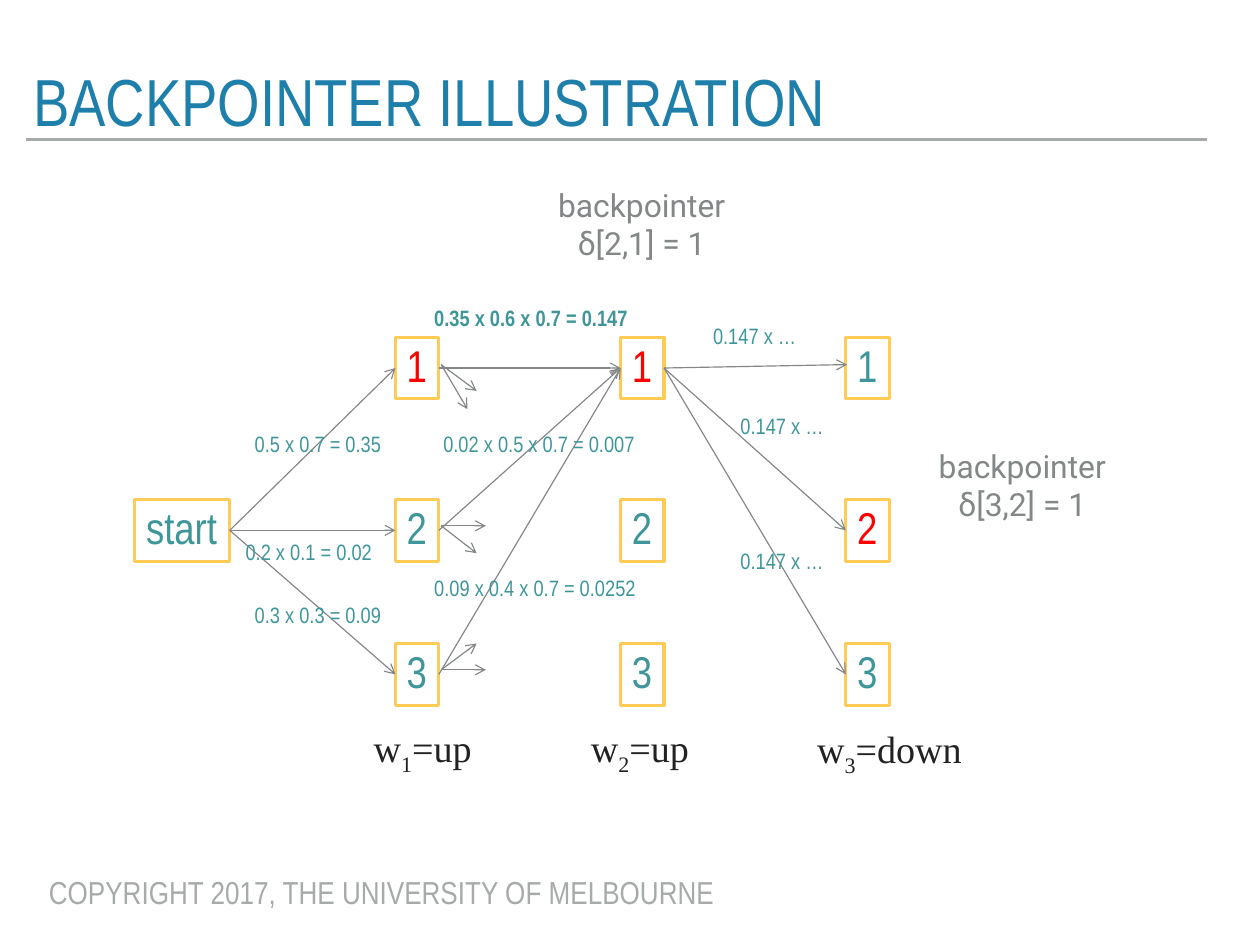
from lxml.etree import SubElement
from pptx import Presentation
from pptx.dml.color import RGBColor
from pptx.enum.shapes import MSO_CONNECTOR as Connector, MSO_SHAPE as Preset
from pptx.enum.text import MSO_ANCHOR as Anchor, MSO_AUTO_SIZE as AutoSize, PP_ALIGN as Align
from pptx.oxml.ns import qn
from pptx.util import Inches, Pt

TITLE_BLUE = RGBColor(0x1F, 0x7F, 0xAB)
RULE_GREY = RGBColor(0xA6, 0xAA, 0xA9)
ARROW_GREY = RGBColor(0x83, 0x87, 0x87)
TEAL = RGBColor(0x3F, 0x96, 0x9A)
RED = RGBColor(0xFF, 0x00, 0x00)
YELLOW = RGBColor(0xFD, 0xCB, 0x56)
INK = RGBColor(0x22, 0x22, 0x22)

presentation = Presentation()
presentation.slide_width = Inches(28 / 2.54)
presentation.slide_height = Inches(21 / 2.54)
slide = presentation.slides.add_slide(presentation.slide_layouts[6])


def write_text(text, left, top, width, height, size=14, color=TEAL, font="Arial Narrow",
               bold=False, align=Align.LEFT, anchor=Anchor.TOP, margin=None,
               spacing=0.93, wrap=False, boxed=False, subscript=None):
    place = [Inches(value) for value in (left, top, width, height)]
    if boxed:
        shape = slide.shapes.add_shape(Preset.RECTANGLE, *place)
        shape.shadow.inherit = False
        shape.fill.background()
        shape.line.color.rgb = YELLOW
        shape.line.width = Pt(2)
    else:
        shape = slide.shapes.add_textbox(*place)
    frame = shape.text_frame
    frame.word_wrap = wrap
    frame.auto_size = AutoSize.NONE if wrap else AutoSize.SHAPE_TO_FIT_TEXT
    frame.vertical_anchor = anchor
    if margin is not None:
        frame.margin_left = frame.margin_right = Inches(margin)
        frame.margin_top = frame.margin_bottom = Inches(margin)
    paragraph = frame.paragraphs[0]
    paragraph.alignment = align
    paragraph.line_spacing = spacing
    if subscript:
        for piece in text.partition(subscript):
            run = paragraph.add_run()
            run.text = piece
            if piece == subscript:
                run.font._element.set("baseline", "-25000")
    else:
        paragraph.text = text
    for run in paragraph.runs:
        run.font.size = Pt(size)
        run.font.name = font
        run.font.bold = bold
        run.font.color.rgb = color
    return shape


def draw_line(start, end, color=ARROW_GREY, width=0.75, arrow=True):
    line = slide.shapes.add_connector(
        Connector.STRAIGHT, *[Inches(value) for value in (*start, *end)])
    line.line.color.rgb = color
    line.line.width = Pt(width)
    if arrow:
        SubElement(line.line._get_or_add_ln(), qn("a:tailEnd"), type="arrow")
    SubElement(line._element.spPr, qn("a:effectLst"))
    return line


write_text("COPYRIGHT 2017, THE UNIVERSITY OF MELBOURNE", 0.33, 7.62, 6.07, 0.41,
           size=20, color=RULE_GREY)
draw_line((0.23, 1.22), (10.56, 1.22), color=RULE_GREY, width=2, arrow=False)
write_text("BACKPOINTER ILLUSTRATION", 0.23, 0.57, 10.34, 0.61, size=41.9,
           color=TITLE_BLUE, anchor=Anchor.MIDDLE, margin=0.06, spacing=1.0, wrap=True)

column_lefts = (3.46, 5.43, 7.4)
row_tops = (2.95, 4.37, 5.63)
best_states = {(0, 0), (1, 0), (2, 1)}
node_width, node_height = 0.38, 0.54

start_node = write_text("start", 1.18, row_tops[1], 0.83, node_height, size=28, boxed=True)
nodes = {}
for column, left in enumerate(column_lefts):
    for row, top in enumerate(row_tops):
        color = RED if (column, row) in best_states else TEAL
        nodes[column, row] = write_text(str(row + 1), left, top, node_width, node_height,
                                        size=28, color=color, boxed=True)

transitions = [(start_node, nodes[0, row]) for row in range(3)]
transitions += [(nodes[0, row], nodes[1, 0]) for row in range(3)]
transitions += [(nodes[1, 0], nodes[2, row]) for row in (1, 2)]
for source, target in transitions:
    transition = draw_line((0, 0), (1, 1))
    transition.begin_connect(source, 3)
    transition.end_connect(target, 1)

top_transition = draw_line((5.81, 3.22), (7.41, 3.19))
top_transition.begin_connect(nodes[1, 0], 3)

stubs = [
    (3.19, [(4.17, 3.42), (4.09, 3.58)]),
    (4.6, [(4.25, 4.6), (4.17, 4.84)]),
    (5.86, [(4.25, 5.86), (4.17, 5.63)]),
]
for stub_y, tips in stubs:
    for tip in tips:
        draw_line((3.86, stub_y), tip)

scores = [
    ("0.5 x 0.7 = 0.35", 2.13, 3.74, 1.32, False),
    ("0.2 x 0.1 = 0.02", 2.05, 4.68, 1.32, False),
    ("0.3 x 0.3 = 0.09", 2.13, 5.23, 1.32, False),
    ("0.35 x 0.6 x 0.7 = 0.147", 3.7, 2.63, 1.91, True),
    ("0.02 x 0.5 x 0.7 = 0.007", 3.78, 3.74, 1.9, False),
    ("0.09 x 0.4 x 0.7 = 0.0252", 3.7, 5, 1.99, False),
    ("0.147 x …", 6.14, 2.79, 0.94, False),
    ("0.147 x …", 6.38, 3.58, 0.94, False),
    ("0.147 x …", 6.38, 4.76, 0.94, False),
]
for score, left, top, width, bold in scores:
    write_text(score, left, top, width, 0.32, bold=bold)

observations = [("w1=up", "1", 3.17, 6.29, 1.08), ("w2=up", "2", 5.07, 6.29, 1.08),
                ("w3=down", "3", 7.05, 6.3, 1.5)]
for observation, index, left, top, width in observations:
    write_text(observation, left, top, width, 0.48, size=24, color=INK,
               font="Times New Roman", subscript=index)

for state, left, top in (("2,1", 4.78, 1.4), ("3,2", 8.11, 3.68)):
    write_text(f"backpointer\vδ[{state}] = 1", left, top, 1.67, 1.12, size=20,
               color=ARROW_GREY, font="Roboto", align=Align.CENTER,
               anchor=Anchor.MIDDLE, margin=0.06, spacing=1.0)

presentation.save("out.pptx")
